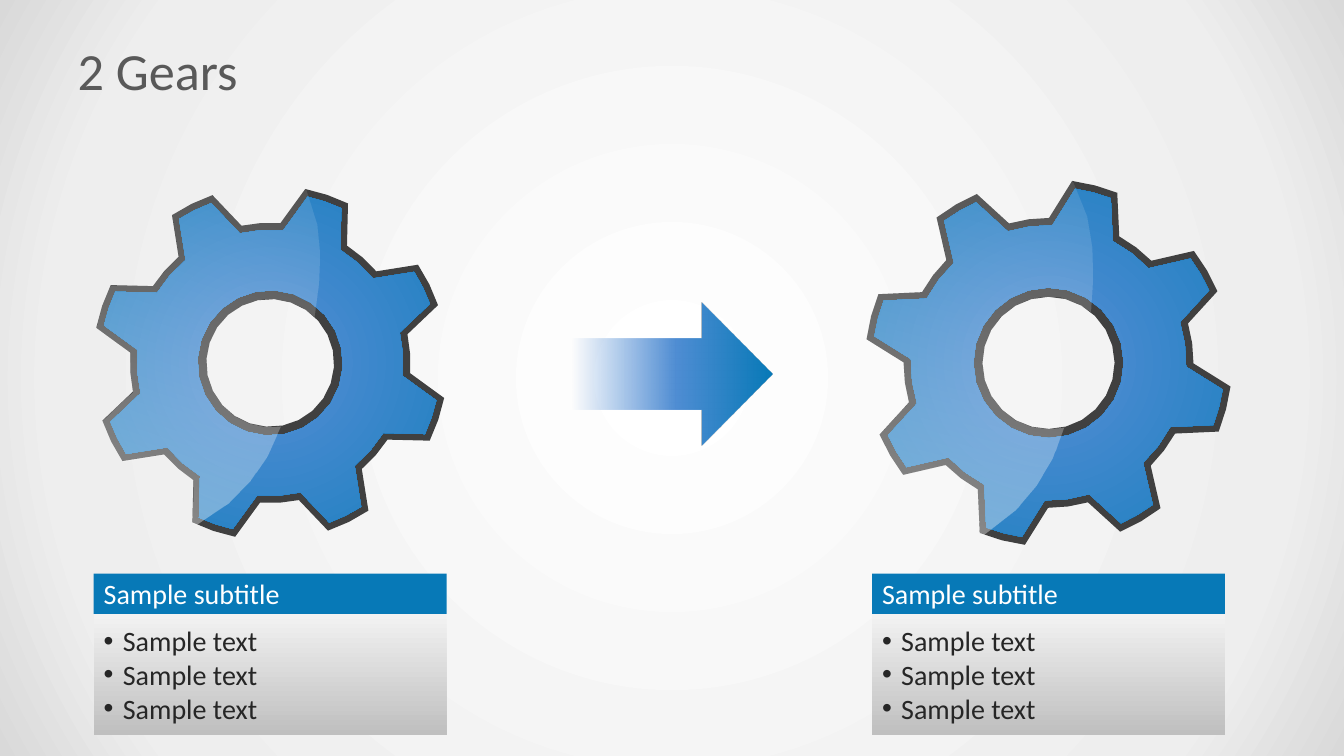
from math import cos, radians, sin

from lxml.etree import SubElement
from pptx import Presentation
from pptx.dml.color import RGBColor
from pptx.enum.shapes import MSO_SHAPE
from pptx.enum.text import MSO_ANCHOR, PP_ALIGN
from pptx.oxml.ns import qn
from pptx.util import Inches, Pt

# Content
TITLE = "2 Gears"
CARDS = [
    {"left": 0.93, "subtitle": "Sample subtitle", "bullets": ["Sample text"] * 3},
    {"left": 8.65, "subtitle": "Sample subtitle", "bullets": ["Sample text"] * 3},
]
GEARS = [  # centre x, centre y, outer radius, rotation
    (2.68, 3.6, 1.76, 333.7),
    (10.4, 3.6, 1.82, 329.7),
]

# Style
FONT = "Calibri"
BLUE, DARK = "0779B7", "404040"
BACKDROP = [(0, "FFFFFF", 100), (81, "EEEEEE", 100), (100, "D9D9D9", 100)]
GEAR_BLUE = [(0, "558ED5", 100), (100, BLUE, 100)]
GLOSS = [(0, "FFFFFF", 10), (100, "FFFFFF", 40)]
ARROW_BLUE = [(0, "558ED5", 0), (52, "4F8DD3", 100), (100, BLUE, 100)]
CARD_GREY = [(0, "F2F2F2", 100), (100, "BFBFBF", 100)]

# Gear proportions, as shares of the outer radius; angles run clockwise from the top
STEP = 45
RIM = {"tip": 1, "root": 0.79, "tip_half": 7.3, "root_half": 14.5, "hole": 0.36}
FACE = {"tip": 0.96, "root": 0.75, "tip_half": 6, "root_half": 13.1, "hole": 0.41}


def color(value):
    return RGBColor.from_string(value)


def set_gradient(fill, properties, stops, angle=None):
    """Fill with (position, colour, opacity) stops; no angle means circular."""
    fill.solid()
    solid = properties.find(qn("a:solidFill"))
    gradient = properties.makeelement(qn("a:gradFill"), {"rotWithShape": "1"})
    properties.replace(solid, gradient)
    stop_list = SubElement(gradient, qn("a:gsLst"))
    for position, value, opacity in stops:
        stop = SubElement(stop_list, qn("a:gs"), pos=str(position * 1000))
        tint = SubElement(stop, qn("a:srgbClr"), val=value)
        if opacity < 100:
            SubElement(tint, qn("a:alpha"), val=str(opacity * 1000))
    if angle is None:
        circle = SubElement(gradient, qn("a:path"), path="circle")
        SubElement(circle, qn("a:fillToRect"), l="50000", t="50000", r="50000", b="50000")
    else:
        SubElement(gradient, qn("a:lin"), ang=str(angle * 60000), scaled="0")


def paint(shape, fill, angle=None):
    shape.shadow.inherit = False
    shape.line.fill.background()
    if isinstance(fill, str):
        shape.fill.solid()
        shape.fill.fore_color.rgb = color(fill)
    else:
        set_gradient(shape.fill, shape._element.spPr, fill, angle)


def style_text(para, size, value):
    para.alignment = PP_ALIGN.LEFT
    for span in para.runs:
        span.font.name = FONT
        span.font.size = Pt(size)
        span.font.color.rgb = color(value)


# Gear outlines
def polar(radius, angle):
    return radius * sin(radians(angle)), -radius * cos(radians(angle))


def arc(radius, start, end):
    count = max(2, round(abs(end - start) / 15))
    return [polar(radius, start + (end - start) * i / count) for i in range(count + 1)]


def valley_and_tooth(part, center):
    """Counterclockwise: the valley before a tooth, then its tip."""
    tip, root = part["tip_half"], part["root_half"]
    return (arc(part["root"], center + STEP - root, center + root)
            + arc(part["tip"], center + tip, center - tip))


def gear_contours(part):
    outline = [point for center in range(0, -360, -STEP)
               for point in valley_and_tooth(part, center)]
    return [outline, arc(part["hole"], 0, 345)]


def gloss_contour():
    tip, root, hole = RIM["tip_half"], RIM["root_half"], RIM["hole"]
    teeth = [point for center in (0, -45, -90) for point in valley_and_tooth(RIM, center)]
    last_valley = arc(RIM["root"], -90 - root, -135 + root)
    # The two edges bow between the rim and the hole
    lower = [polar(1, 231), polar(0.82, 223), polar(0.67, 216), polar(0.52, 208)]
    upper = [polar(0.52, 418), polar(0.67, 411), polar(0.82, 405)]
    return [[polar(1, STEP - tip)] + teeth + last_valley + [polar(1, -135 + tip)]
            + lower + arc(hole, 197, 430) + upper]


def add_outline(page, contours, gear, fill, angle=None):
    center_x, center_y, radius, rotation = gear
    placed = [[(Inches(center_x + radius * x), Inches(center_y + radius * y))
               for x, y in contour] for contour in contours]
    builder = page.shapes.build_freeform(*placed[0][0], scale=1.0)
    builder.add_line_segments(placed[0][1:], close=True)
    for contour in placed[1:]:
        builder.move_to(*contour[0])
        builder.add_line_segments(contour[1:], close=True)
    shape = builder.convert_to_shape()
    # Turn about the gear centre rather than the shape's own centre
    x = shape.left + shape.width / 2 - Inches(center_x)
    y = shape.top + shape.height / 2 - Inches(center_y)
    turn = radians(rotation)
    shape.left += round(x * cos(turn) - y * sin(turn) - x)
    shape.top += round(x * sin(turn) + y * cos(turn) - y)
    shape.rotation = rotation
    paint(shape, fill, angle)


def add_card(page, card):
    left, width = Inches(card["left"]), Inches(3.5)
    header = page.shapes.add_shape(MSO_SHAPE.RECTANGLE, left, Inches(5.69), width, Inches(0.4))
    paint(header, BLUE)
    header.text_frame.text = card["subtitle"]
    header.text_frame.vertical_anchor = MSO_ANCHOR.MIDDLE
    style_text(header.text_frame.paragraphs[0], 20, "FFFFFF")

    body = page.shapes.add_shape(MSO_SHAPE.RECTANGLE, left, Inches(6.09), width, Inches(1.2))
    paint(body, CARD_GREY, 90)
    frame = body.text_frame
    frame.margin_top = frame.margin_bottom = Inches(0.1)
    frame.vertical_anchor = MSO_ANCHOR.TOP
    frame.text = "\n".join(card["bullets"])
    for para in frame.paragraphs:
        properties = para._p.get_or_add_pPr()
        properties.set("marL", str(Inches(0.19)))
        properties.set("indent", str(-Inches(0.19)))
        SubElement(properties, qn("a:buFont"), typeface="Arial")
        SubElement(properties, qn("a:buChar"), char="•")
        style_text(para, 20, "262626")


def main():
    deck = Presentation()
    deck.slide_width, deck.slide_height = Inches(13.33), Inches(7.5)
    page = deck.slides.add_slide(deck.slide_layouts[5])

    # Background
    backdrop = page.background.fill
    set_gradient(backdrop, page._element.find(".//" + qn("p:bgPr")), BACKDROP)

    # Title
    title = page.shapes.title
    title.left, title.top = Inches(0.67), Inches(0.3)
    title.width, title.height = Inches(12), Inches(0.78)
    title.text_frame.text = TITLE
    title.text_frame.vertical_anchor = MSO_ANCHOR.MIDDLE
    style_text(title.text_frame.paragraphs[0], 37.3, "595959")

    # Gears: dark rim, blue face, gloss
    for gear in GEARS:
        add_outline(page, gear_contours(RIM), gear, DARK)
        add_outline(page, gear_contours(FACE), gear, GEAR_BLUE)
        add_outline(page, gloss_contour(), gear, GLOSS, 135)

    # Arrow between the gears
    arrow = page.shapes.add_shape(MSO_SHAPE.RIGHT_ARROW, Inches(5.68), Inches(3),
                                  Inches(1.98), Inches(1.42))
    arrow.adjustments[0], arrow.adjustments[1] = 0.5, 0.495
    paint(arrow, ARROW_BLUE, 0)

    # Cards
    for card in CARDS:
        add_card(page, card)

    deck.save("out.pptx")


if __name__ == "__main__":
    main()
